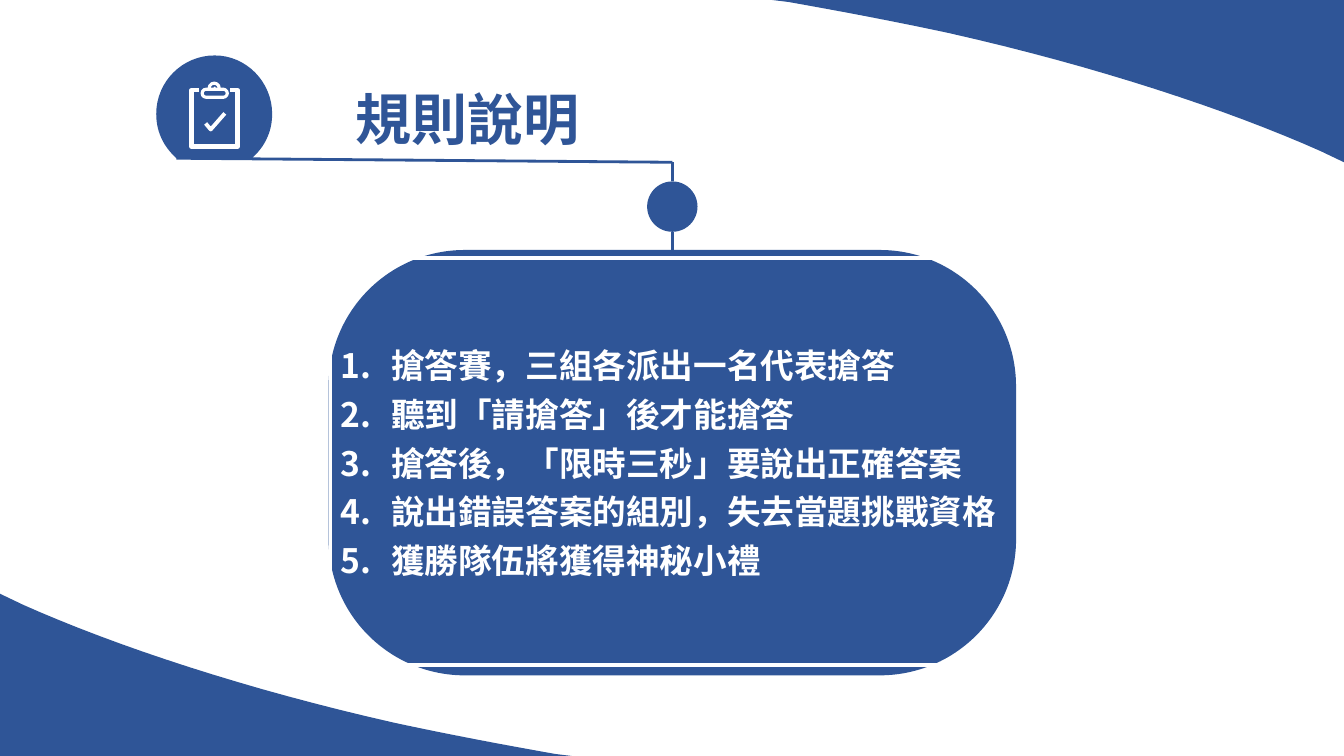
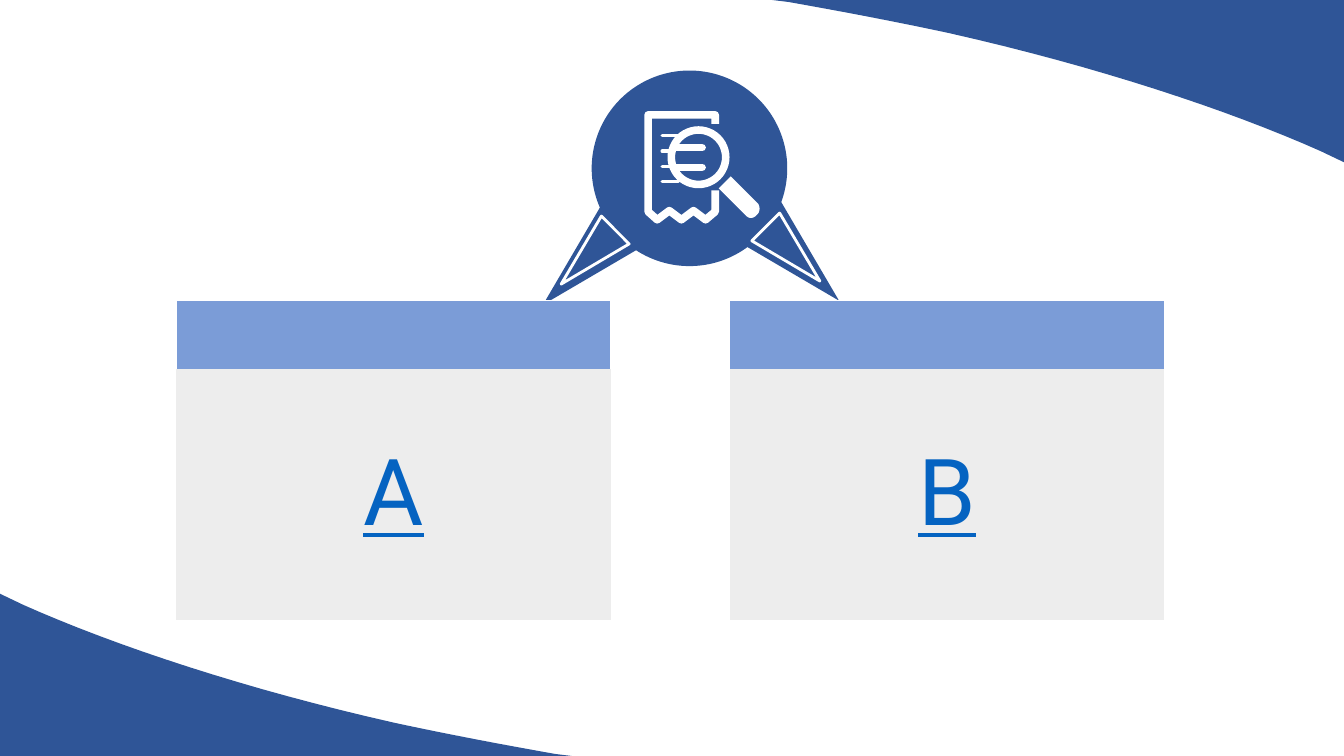
from lxml import etree
from pptx import Presentation
from pptx.dml.color import RGBColor
from pptx.enum.shapes import MSO_CONNECTOR, MSO_SHAPE
from pptx.enum.text import MSO_ANCHOR, PP_ALIGN
from pptx.oxml.ns import qn
from pptx.util import Inches, Pt

ELLIPSE, TRIANGLE = MSO_SHAPE.OVAL, MSO_SHAPE.ISOSCELES_TRIANGLE
ROUNDED = MSO_SHAPE.ROUNDED_RECTANGLE
STRAIGHT = MSO_CONNECTOR.STRAIGHT
MIDDLE, BOTTOM = MSO_ANCHOR.MIDDLE, MSO_ANCHOR.BOTTOM
LEFT, CENTER = PP_ALIGN.LEFT, PP_ALIGN.CENTER

# Grid: square cells, ten to the inch
COLS, ROWS = 133.33, 75
FONT = "Roboto"
COLORS = {"navy": "2F5597", "sky": "7B9CD7", "grey": "EDEDED",
          "link": "0563C1", "white": "FFFFFF"}
PLAIN_TABLE = "{2D5ABB26-0587-4C30-8999-92F81FD0307C}"
CURVE_STEPS = 16

# Outlines: a pair is a corner, six numbers are a Bézier curve
WAVE = [(0, 58.9), (2.3, 60), (11.5, 64.1, 24.5, 68.4, 39.1, 71.7),
        (44.7, 72.9, 50, 73.9, 55.1, 74.8), (56.7, 75), (0, 75)]
BADGE = [(21.3, 5.5), (24.4, 5.5, 27, 8.1, 27, 11.3),
         (27, 12.9, 26.4, 14.3, 25.3, 15.4), (25, 15.7), (17.5, 15.7),
         (17.2, 15.4), (16.1, 14.3, 15.5, 12.9, 15.5, 11.3),
         (15.5, 8.1, 18.1, 5.5, 21.3, 5.5)]
CLIPBOARD = [(19.7, 8.95), (19, 8.95), (19, 14.55), (23.55, 14.55),
             (23.55, 8.95), (22.8, 8.95)]
CHECK = [(20.4, 12.25), (20.9, 12.85), (22.3, 11.25)]
RECEIPT = [(70.95, 12.3), (70.95, 11.4), (64.3, 11.4), (64.3, 21),
           (65.2, 21.8), (66.4, 20.9), (67.6, 21.8), (68.8, 20.9),
           (70, 21.8), (70.95, 21), (70.95, 18.9)]
HANDLE = [(72.5, 17.5), (75.2, 20.2), (75.4, 20.5, 75.4, 20.9, 75.2, 21.2),
          (75, 21.4), (74.7, 21.7, 74.3, 21.7, 74, 21.4), (71.3, 18.7)]


def cells(length):
    return Inches(length / 10)


def rgb(name):
    return RGBColor.from_string(COLORS[name])


def corners(outline):
    """Turn an outline with curves into plain points."""
    points = []
    for part in outline:
        if len(part) == 2:
            points.append(part)
            continue
        controls = [points[-1], part[:2], part[2:4], part[4:]]
        for step in range(1, CURVE_STEPS + 1):
            t = step / CURVE_STEPS
            weights = ((1 - t) ** 3, 3 * t * (1 - t) ** 2, 3 * t * t * (1 - t), t ** 3)
            points.append(tuple(sum(w * c[axis] for w, c in zip(weights, controls))
                                for axis in (0, 1)))
    return points


class Deck:
    def __init__(self):
        self.prs = Presentation()
        self.prs.slide_width, self.prs.slide_height = cells(COLS), cells(ROWS)
        self.slide = None

    def new_slide(self):
        self.slide = self.prs.slides.add_slide(self.prs.slide_layouts[6])
        wave = corners(WAVE)
        self.outline(wave, fill="navy")
        self.outline([(COLS - x, ROWS - y) for x, y in wave], fill="navy")

    def paint(self, shape, fill, line, width):
        shape.shadow.inherit = False
        if fill:
            shape.fill.solid()
            shape.fill.fore_color.rgb = rgb(fill)
        else:
            shape.fill.background()
        if line:
            shape.line.color.rgb = rgb(line)
            shape.line.width = Pt(width)
        else:
            shape.line.fill.background()
        return shape

    def outline(self, parts, fill=None, line=None, width=1):
        start, *rest = [(cells(x), cells(y)) for x, y in corners(parts)]
        builder = self.slide.shapes.build_freeform(*start)
        builder.add_line_segments(rest, close=bool(fill))
        return self.paint(builder.convert_to_shape(), fill, line, width)

    def shape(self, kind, x, y, w, h, fill=None, line=None, width=1, turn=0):
        shape = self.slide.shapes.add_shape(kind, *map(cells, (x, y, w, h)))
        shape.rotation = turn
        return self.paint(shape, fill, line, width)

    def line(self, x1, y1, x2, y2, color="navy", width=2, rounded=False):
        line = self.slide.shapes.add_connector(STRAIGHT, *map(cells, (x1, y1, x2, y2)))
        line.line.color.rgb = rgb(color)
        line.line.width = Pt(width)
        if rounded:
            line.line._get_or_add_ln().set("cap", "rnd")
        etree.SubElement(line._element.spPr, qn("a:effectLst"))
        return line

    def table(self, x, y, w, heights):
        frame = self.slide.shapes.add_table(
            len(heights), 1, *map(cells, (x, y, w, sum(heights))))
        table = frame.table
        table.first_row = table.horz_banding = False
        table._tbl.tblPr.find(qn("a:tableStyleId")).text = PLAIN_TABLE
        for row, height in zip(table.rows, heights):
            row.height = cells(height)
        return table

    def cell(self, cell, lines=(), size=18, color="navy", fill=None, anchor=MIDDLE,
             align=CENTER, bold=False, underline=False, numbered=False,
             sides="", border=1):
        for side in sides:
            edge = etree.SubElement(cell._tc.get_or_add_tcPr(), qn("a:ln" + side),
                                    w=str(Pt(border)))
            solid = etree.SubElement(edge, qn("a:solidFill"))
            etree.SubElement(solid, qn("a:srgbClr"), val=COLORS["white"])
        if fill:
            cell.fill.solid()
            cell.fill.fore_color.rgb = rgb(fill)
        else:
            cell.fill.background()
        cell.vertical_anchor = anchor
        frame = cell.text_frame
        for index, text in enumerate(lines):
            paragraph = frame.add_paragraph() if index else frame.paragraphs[0]
            paragraph.text = text
            paragraph.alignment = align
            if numbered:
                properties = paragraph._p.get_or_add_pPr()
                properties.set("marL", str(cells(5)))
                properties.set("indent", str(-cells(5)))
                etree.SubElement(properties, qn("a:buFont"), typeface="+mj-lt")
                etree.SubElement(properties, qn("a:buAutoNum"), type="arabicPeriod")
            font = paragraph.font
            font.name, font.size, font.bold = FONT, Pt(size), bold
            font.underline = underline
            font.color.rgb = rgb(color)

    def clipboard_icon(self):
        self.outline(CHECK, line="white", width=2.75)
        self.outline(CLIPBOARD, line="white", width=3.25)
        self.shape(ELLIPSE, 20.75, 8.25, 1, 1, "navy", "white", 2.25)
        clip = self.shape(ROUNDED, 20.05, 8.85, 2.5, 0.8, "navy", "white", 2.25)
        clip.adjustments[0] = 0.5
        self.shape(ELLIPSE, 21.2, 8.6, 0.2, 0.2, "white")

    def search_icon(self):
        self.outline(RECEIPT, line="white", width=5.5)
        for y, end in zip((13.45, 15, 16.5, 18), (67.3, 66.5, 66.5, 67.3)):
            self.line(65.7, y, end, y, "white", 2.5, rounded=True)
        for y in (14.65, 16.6):
            self.line(67, y, 69.65, y, "white", 5.4, rounded=True)
        self.shape(ELLIPSE, 66.6, 12.9, 5.4, 5.4, line="white", width=5.4)
        self.outline(HANDLE, fill="white")

    def option_card(self, x, letter):
        header, body = self.table(x, 29.8, 43.1, (6.8, 24.9)).iter_cells()
        self.cell(header, fill="sky", sides="LRT")
        self.cell(body, [letter], 66, "link", "grey", underline=True)


def rules_slide(deck):
    deck.new_slide()
    # Heading with badge and connecting line
    deck.outline(BADGE, fill="navy")
    deck.line(17.5, 15.7, 66.7, 16.1)
    dot = deck.shape(ELLIPSE, 64.2, 18, 5, 5, "navy")
    deck.line(66.7, 16.1, 66.7, 18).end_connect(dot, 0)
    title = deck.table(27, 5.7, 38.8, [10.3])
    deck.cell(title.cell(0, 0), ["規則說明"], 40, anchor=BOTTOM, bold=True)
    # Panel with the numbered rules
    panel = deck.shape(ROUNDED, 32.6, 24.8, 68.2, 42.2, "navy")
    panel.adjustments[0] = 0.32
    rules = deck.table(32.8, 25.6, 69, [40.4])
    deck.cell(rules.cell(0, 0), [
        "搶答賽，三組各派出一名代表搶答",
        "聽到「請搶答」後才能搶答",
        "搶答後，「限時三秒」要說出正確答案",
        "說出錯誤答案的組別，失去當題挑戰資格",
        "獲勝隊伍將獲得神秘小禮",
    ], 24, "white", align=LEFT, bold=True, numbered=True, sides="LRTB", border=3)
    deck.clipboard_icon()
    deck.line(66.7, 24.8, 66.7, 23).begin_connect(panel, 0)


def choice_slide(deck):
    deck.new_slide()
    # Emblem with two pointers
    for x, y, turn in ((55.3, 17, 225), (73.7, 16.6, 135)):
        deck.shape(TRIANGLE, x, y, 8.1, 15.5, "navy", turn=turn)
    deck.shape(ELLIPSE, 58.7, 7, 19.4, 19.4, "navy")
    deck.search_icon()
    for x, y, turn in ((56.4, 21.7, 225), (76.7, 21.4, 135)):
        deck.shape(TRIANGLE, x, y, 3.9, 7.6, line="white", width=2, turn=turn)
    # Answer cards
    for x, letter in ((17.5, "A"), (72.4, "B")):
        deck.option_card(x, letter)


def main():
    deck = Deck()
    rules_slide(deck)
    choice_slide(deck)
    deck.prs.save("out.pptx")


if __name__ == "__main__":
    main()
